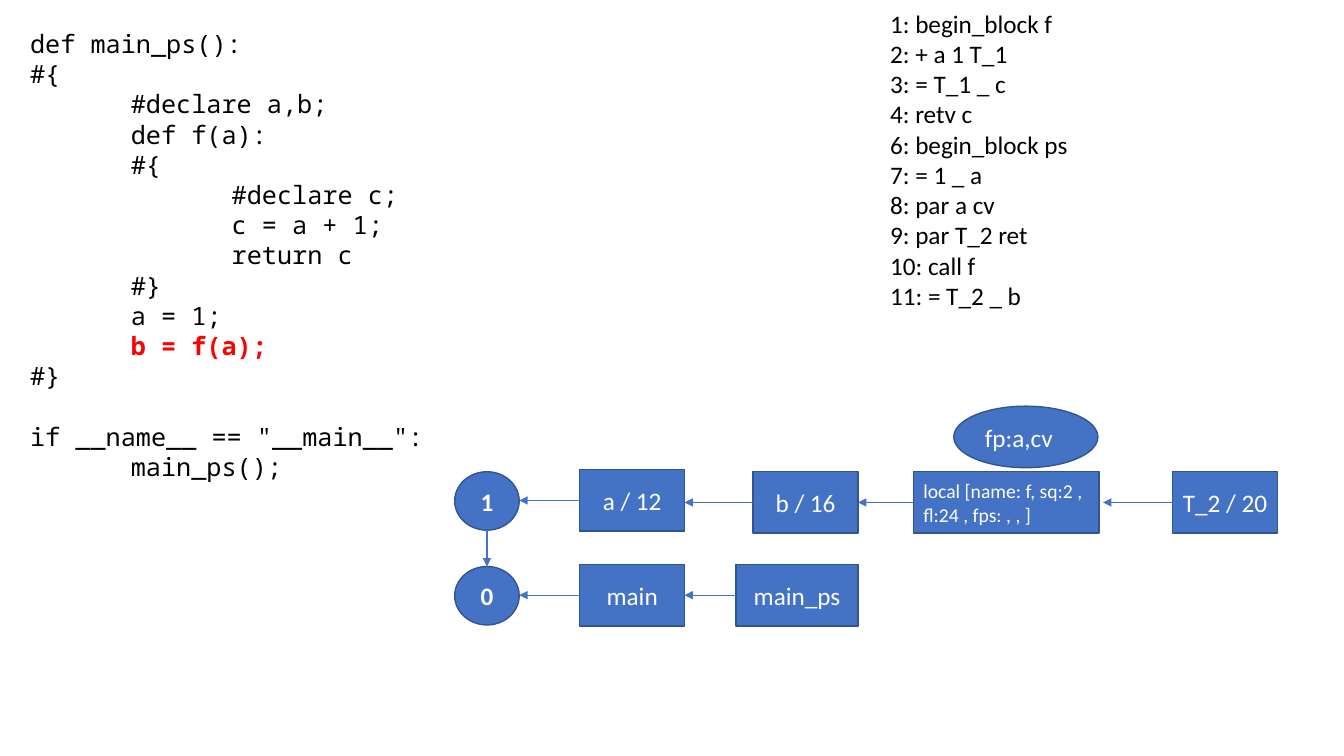
import pptx
import pptx.dml.color
import pptx.enum.shapes
import pptx.enum.text
import pptx.oxml
import pptx.oxml.ns
import pptx.util

COLOURS = {"node": "4472C4", "outline": "325491", "link": "4472C4",
           "label": "FFFFFF", "code": "000000", "current": "FF0000"}
OVAL = pptx.enum.shapes.MSO_SHAPE.OVAL
RECTANGLE = pptx.enum.shapes.MSO_SHAPE.RECTANGLE
CENTER = pptx.enum.text.PP_ALIGN.CENTER
LEFT = pptx.enum.text.PP_ALIGN.LEFT

# Each line: indent level, wording
PROGRAM = [
    (0, "def main_ps():"), (0, "#{"), (1, "#declare a,b;"), (1, "def f(a):"),
    (1, "#{"), (2, "#declare c;"), (2, "c = a + 1;"), (2, "return c"),
    (1, "#}"), (1, "a = 1;"), (1, "b = f(a);"), (0, "#}"),
    (0, 'if __name__ == "__main__":'), (1, "main_ps();"),
]
CURRENT_LINE = "b = f(a);"
ENTRY_LINE = 'if __name__ == "__main__":'

QUADS = ["1: begin_block f", "2: + a 1 T_1", "3: = T_1 _ c", "4: retv c",
         "6: begin_block ps", "7: = 1 _ a", "8: par a cv", "9: par T_2 ret",
         "10: call f", "11: = T_2 _ b"]


class ScopeSlide:
    """Draws on a grid whose columns and rows are a tenth of an inch."""

    CELL = pptx.util.Inches(0.1)

    def __init__(self, deck):
        self.slide = deck.slides.add_slide(deck.slide_layouts[6])

    def cells(self, *counts):
        return [round(count * self.CELL) for count in counts]

    def style(self, run, colour, **font_format):
        settings = {"name": "Calibri", "size": pptx.util.Pt(18), "bold": False}
        for attribute, value in {**settings, **font_format}.items():
            setattr(run.font, attribute, value)
        run.font.color.rgb = pptx.dml.color.RGBColor.from_string(COLOURS[colour])

    def listing(self, area, lines, font, current=None, after_gap=None):
        """Writes (level, wording) lines, marking one and spacing one apart."""
        frame = self.slide.shapes.add_textbox(*self.cells(*area)).text_frame
        frame.word_wrap = True
        frame.auto_size = pptx.enum.text.MSO_AUTO_SIZE.SHAPE_TO_FIT_TEXT
        for number, (level, wording) in enumerate(lines):
            line = frame.add_paragraph() if number else frame.paragraphs[0]
            if level:
                line._p.get_or_add_pPr().set("marL", str(level * pptx.util.Inches(1)))
            if wording == after_gap:
                line.space_before = pptx.util.Pt(21.6)
            run = line.add_run()
            run.text = wording
            marked = wording == current
            self.style(run, "current" if marked else "code", name=font, bold=marked)

    def node(self, area, wording, outline=RECTANGLE, align=CENTER, **font_format):
        entry = self.slide.shapes.add_shape(outline, *self.cells(*area))
        entry.shadow.inherit = False
        entry.fill.solid()
        entry.fill.fore_color.rgb = pptx.dml.color.RGBColor.from_string(COLOURS["node"])
        entry.line.color.rgb = pptx.dml.color.RGBColor.from_string(COLOURS["outline"])
        entry.line.width = pptx.util.Pt(1)
        frame = entry.text_frame
        frame.word_wrap = True
        frame.vertical_anchor = pptx.enum.text.MSO_ANCHOR.MIDDLE
        frame.paragraphs[0].alignment = align
        run = frame.paragraphs[0].add_run()
        run.text = wording
        self.style(run, "label", **font_format)
        return entry

    def arrow(self, start_x, start_y, end_x, end_y):
        link = self.slide.shapes.add_connector(
            pptx.enum.shapes.MSO_CONNECTOR.STRAIGHT, start_x, start_y, end_x, end_y)
        link.line.color.rgb = pptx.dml.color.RGBColor.from_string(COLOURS["link"])
        link.line.width = pptx.util.Pt(1)
        namespace = pptx.oxml.ns.nsdecls("a")
        link.line._get_or_add_ln().append(
            pptx.oxml.parse_xml(f'<a:tailEnd {namespace} type="triangle"/>'))
        link._element.spPr.append(pptx.oxml.parse_xml(f"<a:effectLst {namespace}/>"))

    def chain(self, entries, last_gap=0):
        """Points each entry back at the one before it."""
        for earlier, later in zip(entries, entries[1:]):
            gap = last_gap if later is entries[-1] else 0
            middle = later.top + later.height // 2
            self.arrow(later.left, middle,
                       earlier.left + earlier.width + self.cells(gap)[0], middle)

    def drop(self, upper, lower):
        """Points an entry down at the one below it."""
        middle = upper.left + upper.width // 2
        self.arrow(middle, upper.top + upper.height, middle, lower.top)


def main():
    deck = pptx.Presentation()
    deck.slide_width = pptx.util.Inches(13.33)
    deck.slide_height = pptx.util.Inches(7.5)
    page = ScopeSlide(deck)

    page.listing((2, 2.3, 57.3, 46.4), PROGRAM, "Noto Sans Mono",
                 current=CURRENT_LINE, after_gap=ENTRY_LINE)
    page.listing((87.3, 0.3, 25.6, 31.3), [(0, quad) for quad in QUADS], "Calibri")

    outer_scope = [
        page.node((45.1, 56.2, 6.4, 5.8), "0", OVAL, bold=True),
        page.node((57.5, 56, 10.4, 6.1), "main"),
        page.node((73, 56, 12.1, 6.1), "main_ps"),
    ]
    inner_scope = [
        page.node((45.1, 46.8, 6.4, 5.8), "1", OVAL, bold=True),
        page.node((57.5, 46.6, 10.4, 6.1), "a / 12"),
        page.node((74.7, 46.8, 10.4, 6.1), "b / 16"),
        page.node((90.6, 46.8, 18.4, 6.1), "local [name: f, sq:2 , fl:24 , fps: , , ]",
                  align=LEFT, size=pptx.util.Pt(14)),
        page.node((116.3, 46.8, 10.4, 6.1), "T_2 / 20"),
    ]
    page.node((94.6, 40.3, 14.3, 6.1), "fp:a,cv", OVAL, align=LEFT)
    page.chain(outer_scope)
    page.chain(inner_scope, last_gap=0.4)
    page.drop(inner_scope[0], outer_scope[0])

    deck.save("out.pptx")


if __name__ == "__main__":
    main()
